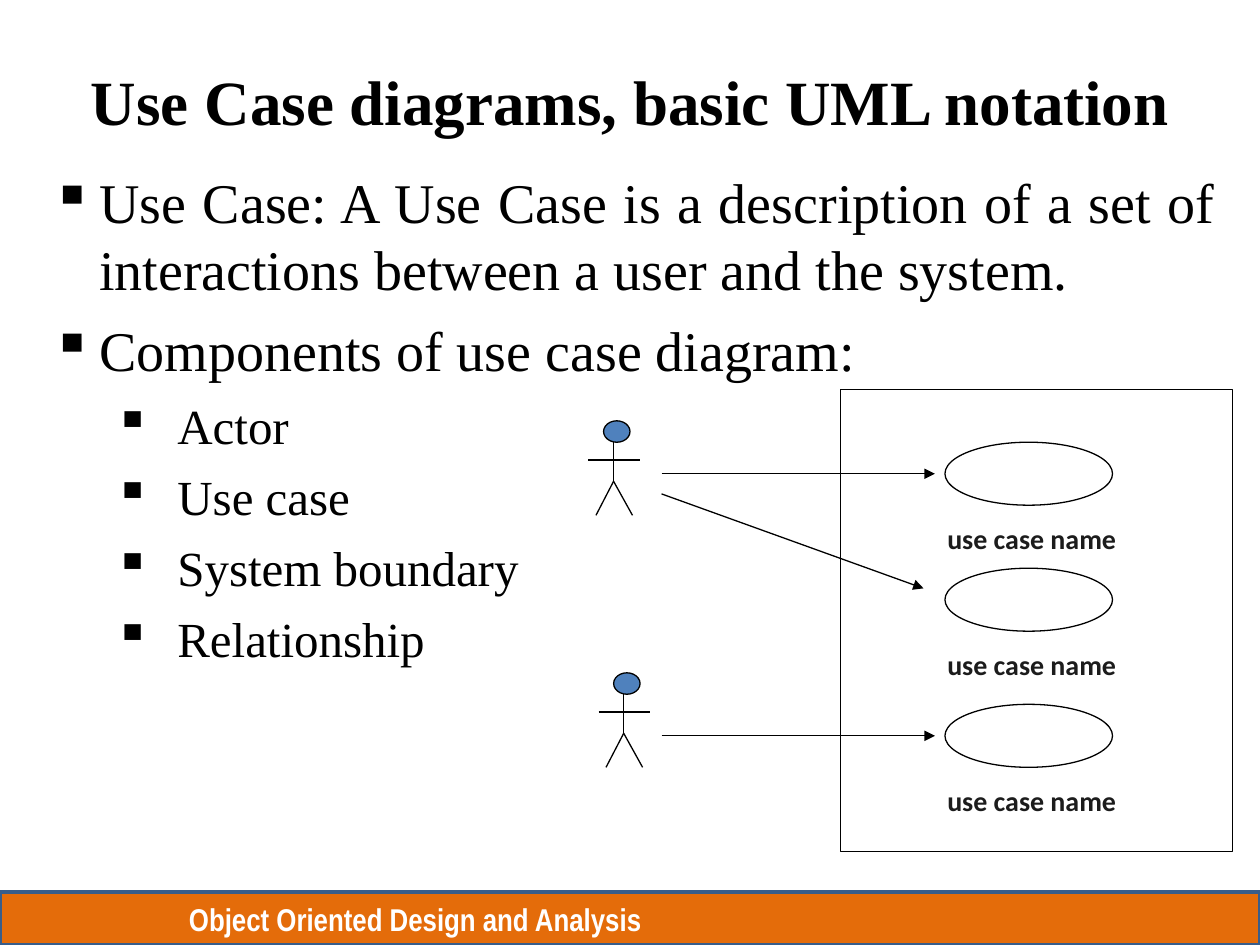
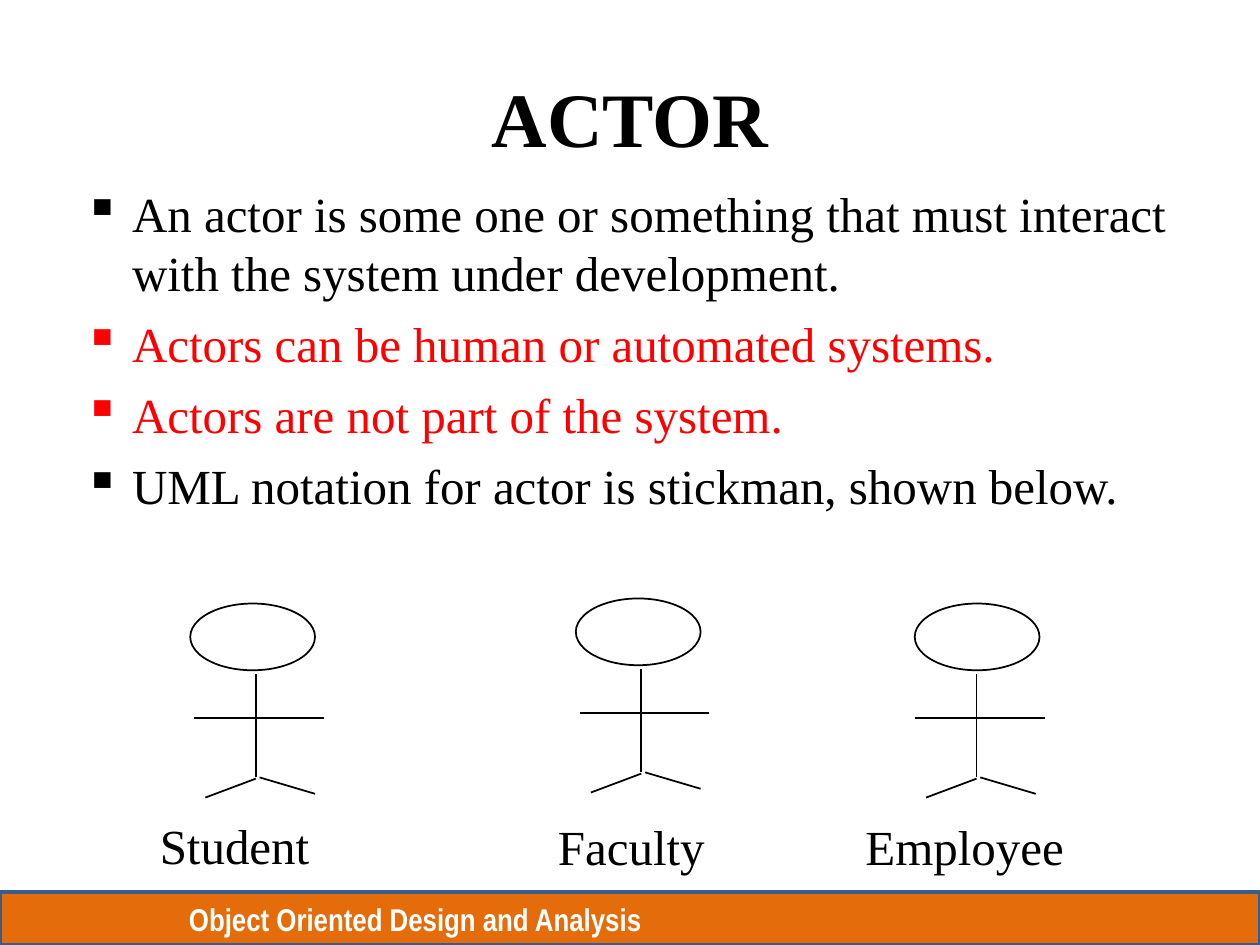
import dataclasses

import lxml.etree
import pptx
import pptx.dml.color
import pptx.enum.shapes
import pptx.enum.text
import pptx.oxml.ns
import pptx.util

SHAPE = pptx.enum.shapes.MSO_SHAPE
ALIGN = pptx.enum.text.PP_ALIGN
ANCHOR = pptx.enum.text.MSO_ANCHOR
COLS, ROWS = 10, 7.5
CELL = pptx.util.Inches(1)


@dataclasses.dataclass(frozen=True)
class Theme:
    ink: str = "000000"
    paper: str = "FFFFFF"
    band: str = "E46C0A"
    edge: str = "385D8A"
    head: str = "4F81BD"
    label: str = "1C1C1C"
    alert: str = "FF0000"
    serif: str = "Times New Roman"
    sans: str = "Calibri"
    narrow: str = "Arial Narrow"
    hero: int = 44
    title: int = 36
    large: int = 32
    body: int = 28
    foot: int = 18
    small: int = 16
    thin: float = 0.75
    line: float = 1


THEME = Theme()

SMALL = [
    (0.08, 0.17, 0.08, 0.48),
    (-0.12, 0.31, 0.29, 0.31),
    (0.08, 0.48, -0.06, 0.75),
    (0.08, 0.48, 0.23, 0.75),
]
LARGE = [
    (0.52, 0.56, 0.52, 1.38),
    (0.03, 0.91, 1.06, 0.91),
    (0.52, 1.39, 0.12, 1.54),
    (0.55, 1.38, 0.99, 1.51),
]


def grid(*cells):
    return [round(cell * CELL) for cell in cells]


def tint(code):
    return pptx.dml.color.RGBColor.from_string(code)


def add_tag(parent, name, **attrs):
    return lxml.etree.SubElement(parent, pptx.oxml.ns.qn(name), attrs)


def write(frame, text, size=THEME.body, font=THEME.serif, color=THEME.ink,
          bold=False, align=ALIGN.LEFT, before=0, hang=None):
    para = frame.paragraphs[0]
    if para.runs:
        para = frame.add_paragraph()
    para.alignment = align
    para.space_before = pptx.util.Pt(before)
    if hang:
        left, back = grid(*hang)
        props = para._p.get_or_add_pPr()
        props.set("marL", str(left))
        props.set("indent", str(-back))
        add_tag(add_tag(props, "a:buClr"), "a:srgbClr", val=color)
        add_tag(props, "a:buChar", char="▪")
    run = para.add_run()
    run.text = text
    run.font.size = pptx.util.Pt(size)
    run.font.name = font
    run.font.bold = bold
    run.font.color.rgb = tint(color)


def add_box(slide, *area, wrap=True):
    frame = slide.shapes.add_textbox(*grid(*area)).text_frame
    frame.word_wrap = wrap
    return frame


def add_form(shapes, kind, *area, fill=None, edge=THEME.ink, width=THEME.thin):
    form = shapes.add_shape(kind, *grid(*area))
    form.shadow.inherit = False
    if fill:
        form.fill.solid()
        form.fill.fore_color.rgb = tint(fill)
    else:
        form.fill.background()
    form.line.color.rgb = tint(edge)
    form.line.width = pptx.util.Pt(width)
    return form


def add_line(shapes, *ends, width=THEME.thin, arrow=False):
    kind = pptx.enum.shapes.MSO_CONNECTOR.STRAIGHT
    line = shapes.add_connector(kind, *grid(*ends))
    line.line.color.rgb = tint(THEME.ink)
    line.line.width = pptx.util.Pt(width)
    if arrow:
        add_tag(line.line._get_or_add_ln(), "a:tailEnd", type="triangle")
    add_tag(line.element.spPr, "a:effectLst")


def add_actor(slide, left, top, size, limbs, fill, width, shift=0):
    shapes = slide.shapes.add_group_shape().shapes
    add_form(shapes, SHAPE.OVAL, left, top, *size, fill=fill, width=width)
    for x1, y1, x2, y2 in limbs:
        add_line(shapes, left + shift + x1, top + y1,
                 left + shift + x2, top + y2, width=width)


def add_case(slide, top):
    add_form(slide.shapes, SHAPE.OVAL, 7.5, top, 1.33, 0.5, fill=THEME.paper)
    frame = add_box(slide, 7.42, top + 0.58, 1.54, 0.37, wrap=False)
    write(frame, "use case name", size=THEME.small, font=THEME.sans,
          color=THEME.label, bold=True)


def add_page(deck, text, top, size):
    slide = deck.slides.add_slide(deck.slide_layouts[5])
    title = slide.shapes.title
    title.left, title.top, title.width, title.height = grid(0.5, top, 9, 1.25)
    title.text_frame.vertical_anchor = ANCHOR.MIDDLE
    write(title.text_frame, text, size=size, bold=True, align=ALIGN.CENTER)
    return slide


def share_band(deck, slide):
    high = 0.42
    band = add_form(slide.shapes, SHAPE.RECTANGLE, 0, ROWS - high, COLS, high,
                    fill=THEME.band, edge=THEME.edge, width=2)
    frame = band.text_frame
    frame.vertical_anchor = ANCHOR.MIDDLE
    frame.margin_left = grid(1.5)[0]
    write(frame, "Object Oriented Design and Analysis", size=THEME.foot,
          font=THEME.narrow, color=THEME.paper, bold=True)
    band.element.xpath(".//p:cNvPr")[0].set("id", "99")
    deck.slide_master.shapes.element.append(band.element)


def fill_cases(slide):
    frame = add_box(slide, 0.31, 1.28, 9.44, 5.62)
    write(frame, "Use Case: A Use Case is a description of a set of "
          "interactions between a user and the system.", size=THEME.large,
          align=ALIGN.JUSTIFY, before=8, hang=(0.38, 0.38))
    write(frame, "Components of use case diagram:", size=THEME.large,
          before=8, hang=(0.38, 0.38))
    for part in ("Actor", "Use case", "System boundary", "Relationship"):
        write(frame, part, before=7, hang=(1, 0.5))

    add_form(slide.shapes, SHAPE.RECTANGLE, 6.67, 3.09, 3.11, 3.67)
    for top in (3.51, 4.51, 5.59):
        add_case(slide, top)
    for left, top in ((4.79, 3.34), (4.87, 5.34)):
        add_actor(slide, left, top, (0.21, 0.17), SMALL, THEME.head, THEME.thin)
    for start, x, end in ((3.76, 7.42, 3.76), (3.92, 7.33, 4.67),
                          (5.84, 7.42, 5.84)):
        add_line(slide.shapes, 5.25, start, x, end, arrow=True)


def fill_actors(slide):
    frame = add_box(slide, 0.57, 1.41, 9, 4.95)
    for text, color in (
        ("An actor is some one or something that must interact "
         "with the system under development.", THEME.ink),
        ("Actors can be human or automated systems.", THEME.alert),
        ("Actors are not part of the system.", THEME.alert),
        ("UML notation for actor is stickman, shown below.", THEME.ink),
    ):
        write(frame, text, color=color, before=7, hang=(0.38, 0.38))

    for name, left, top, shift, x, y, wide in (
        ("Student", 1.51, 4.79, 0, 1.17, 6.42, 1.83),
        ("Faculty", 4.57, 4.75, 0, 4.33, 6.43, 1.58),
        ("Employee", 7.26, 4.79, -0.03, 6.77, 6.43, 1.81),
    ):
        add_actor(slide, left, top, (0.99, 0.53), LARGE, THEME.paper,
                  THEME.line, shift)
        write(add_box(slide, x, y, wide, 0.57), name)


def main():
    deck = pptx.Presentation()
    deck.slide_width, deck.slide_height = grid(COLS, ROWS)
    cases = add_page(deck, "Use Case diagrams, basic UML notation", 0.17,
                     THEME.title)
    share_band(deck, cases)
    fill_cases(cases)
    fill_actors(add_page(deck, "ACTOR", 0.3, THEME.hero))
    deck.save("out.pptx")


if __name__ == "__main__":
    main()
